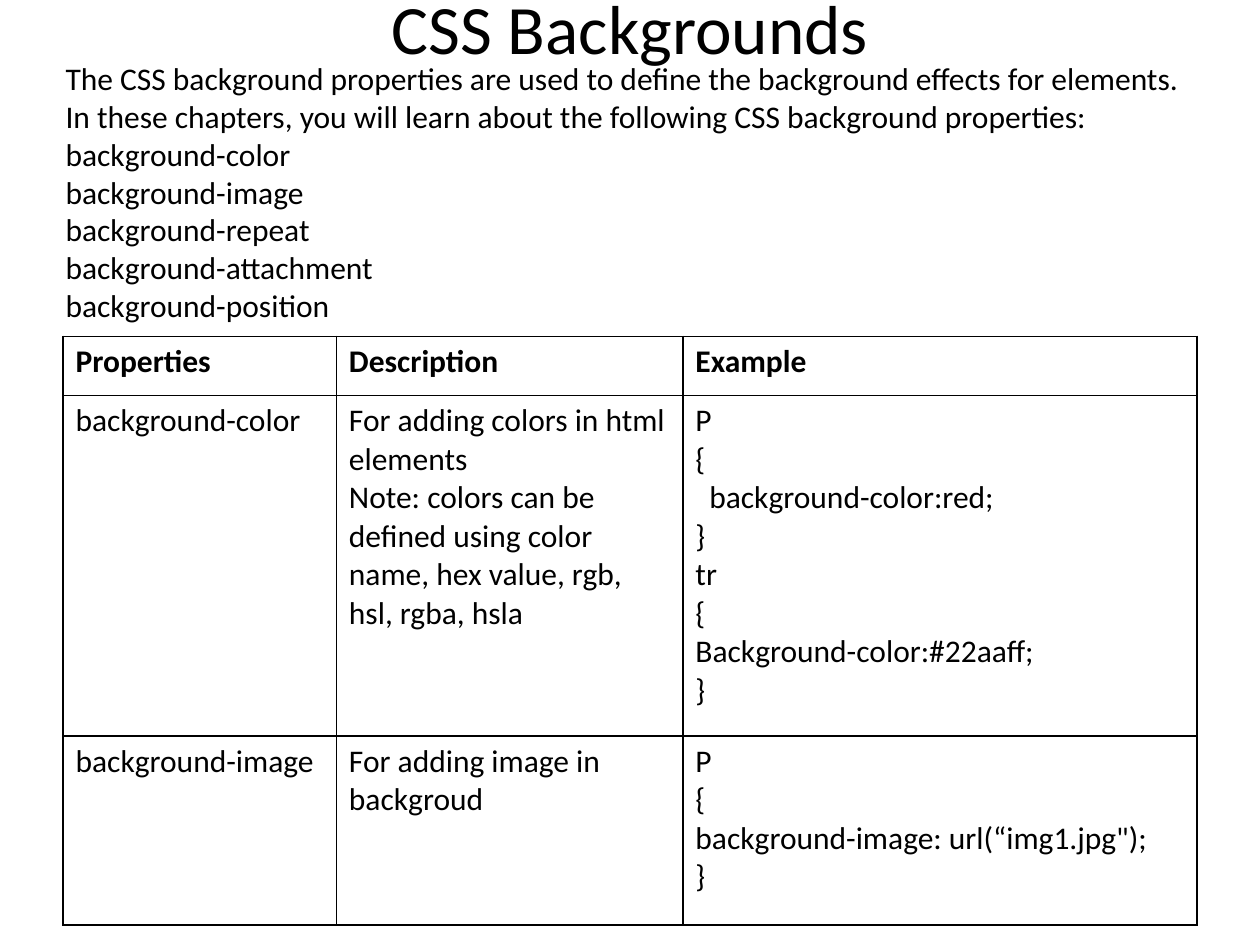
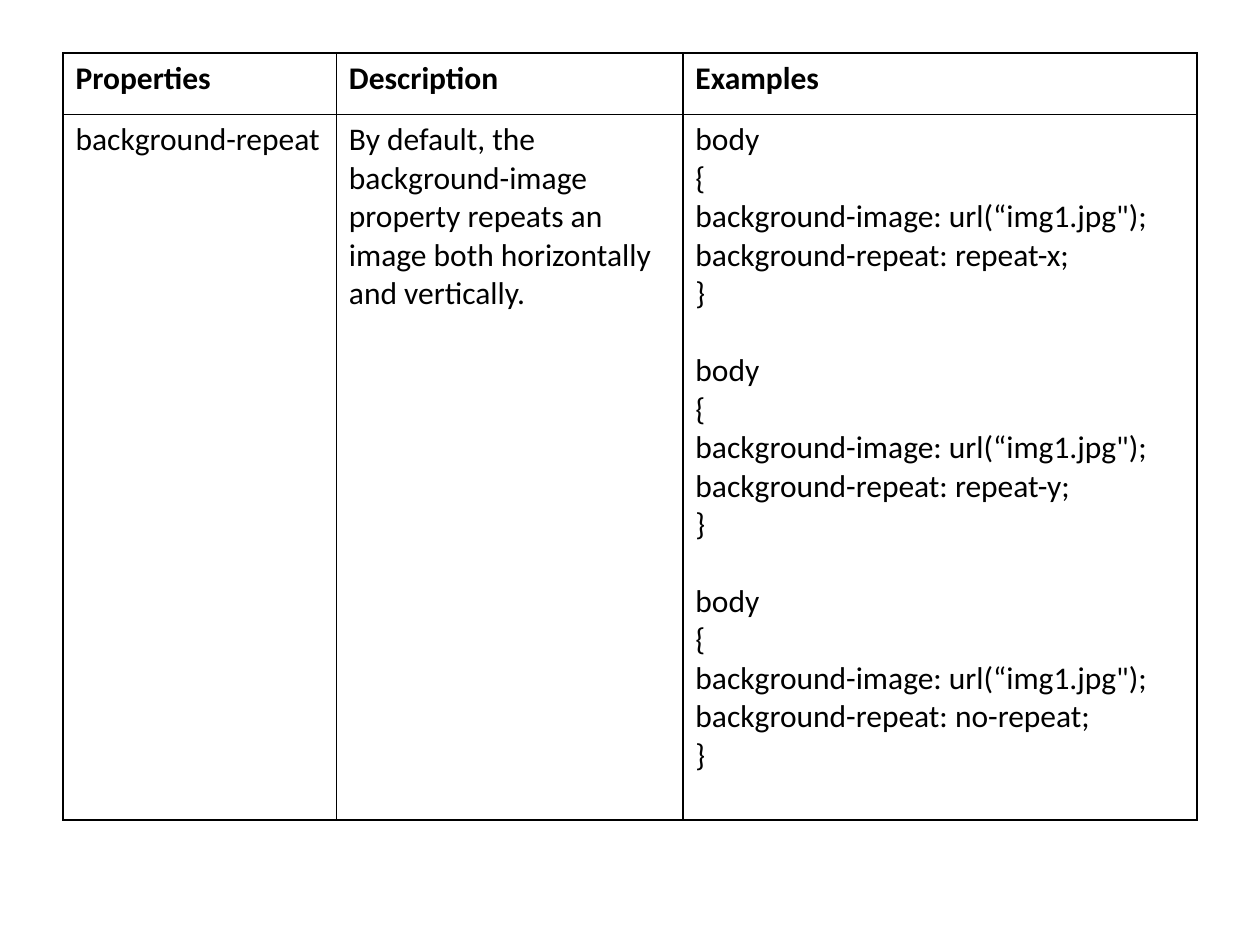
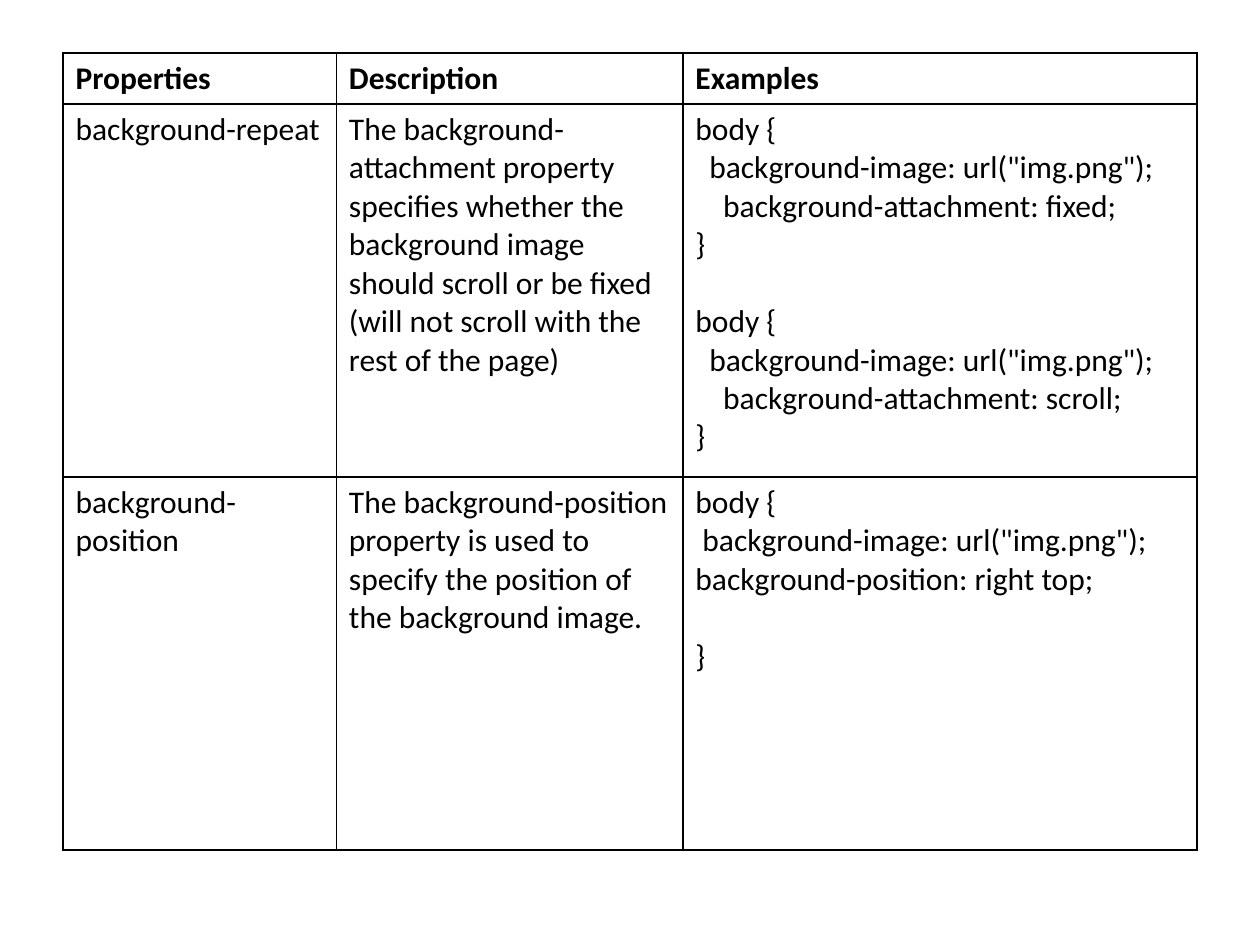
from pptx import Presentation
from pptx.dml.color import RGBColor
from pptx.enum.text import MSO_ANCHOR, MSO_AUTO_SIZE, PP_ALIGN
from pptx.oxml.ns import qn
from pptx.util import Inches, Pt
from lxml.etree import SubElement

INK = RGBColor(0x00, 0x00, 0x00)
PAPER = RGBColor(0xFF, 0xFF, 0xFF)
FONT = "Calibri"
TEXT_SIZE = Pt(18)
BLANK_LINE = Pt(22)
SPACE_WIDTH = Inches(0.11) // 2
COLUMN_WIDTHS = [Inches(2.17), Inches(2.75), Inches(4.08)]
TABLE_LEFT = Inches(0.5)
TABLE_TOP = Inches(0.42)

BACKGROUND_IMAGE = 'background-image: url(“img1.jpg");'


def place(shape, left, top, width, height):
    """Move a placeholder to the given box."""
    shape.left, shape.top, shape.width, shape.height = left, top, width, height


def style_runs(paragraph, size=TEXT_SIZE, bold=False):
    """Apply the shared typeface and colour to a paragraph's runs."""
    for run in paragraph.runs:
        run.font.name = FONT
        run.font.size = size
        run.font.bold = bold
        run.font.color.rgb = INK


def write_lines(frame, lines, bold=False):
    """Write one paragraph a line, turning leading spaces into indents and empty lines into gaps."""
    gap = Pt(0)
    paragraph = None
    for line in lines:
        if not line:
            gap = BLANK_LINE
            continue
        paragraph = frame.add_paragraph() if paragraph is not None else frame.paragraphs[0]
        content = line.lstrip(" ")
        paragraph.text = content
        paragraph.space_before = gap
        properties = paragraph._p.get_or_add_pPr()
        properties.set("marL", str((len(line) - len(content)) * SPACE_WIDTH))
        properties.set("indent", "0")
        SubElement(properties, qn("a:buNone"))
        style_runs(paragraph, bold=bold)
        gap = Pt(0)


def add_title(slide, text, left, top, width, height):
    """Set the slide title against the top edge of its box."""
    title = slide.shapes.title
    place(title, left, top, width, height)
    frame = title.text_frame
    frame.text = text
    frame.auto_size = MSO_AUTO_SIZE.NONE
    frame.vertical_anchor = MSO_ANCHOR.MIDDLE
    frame.margin_top = 0
    frame.margin_bottom = Inches(0.58)
    frame.paragraphs[0].alignment = PP_ALIGN.CENTER
    style_runs(frame.paragraphs[0], Pt(39.6))


def add_introduction(slide, lines, left, top, width, height):
    """Fill the body placeholder with unbulleted lines."""
    body = slide.placeholders[1]
    place(body, left, top, width, height)
    body.text_frame.auto_size = MSO_AUTO_SIZE.NONE
    write_lines(body.text_frame, lines)


def draw_borders(cell):
    """Give a cell a thin line on all four sides."""
    properties = cell._tc.get_or_add_tcPr()
    for side in ("a:lnL", "a:lnR", "a:lnT", "a:lnB"):
        line = SubElement(properties, qn(side), w=str(Pt(1)))
        fill = SubElement(line, qn("a:solidFill"))
        SubElement(fill, qn("a:srgbClr"), val=str(INK))


def add_property_table(slide, rows, row_heights, left, top):
    """Add a bordered table whose first row is a bold header."""
    heights = [Inches(height) for height in row_heights]
    table = slide.shapes.add_table(
        len(rows), len(COLUMN_WIDTHS), left, top, sum(COLUMN_WIDTHS), sum(heights)
    ).table
    table.horz_banding = False
    table.first_row = False
    for column, width in zip(table.columns, COLUMN_WIDTHS):
        column.width = width
    for row_index, (row, height) in enumerate(zip(rows, heights)):
        table.rows[row_index].height = height
        for column_index, content in enumerate(row):
            cell = table.cell(row_index, column_index)
            write_lines(cell.text_frame, content.split("\n"), bold=row_index == 0)
            draw_borders(cell)
            cell.fill.solid()
            cell.fill.fore_color.rgb = PAPER


def repeat_rule(value):
    """Return the CSS rule for one background-repeat value."""
    return f"body\n{{\n{BACKGROUND_IMAGE}\nbackground-repeat: {value};\n}}"


def attachment_rule(value):
    """Return the CSS rule for one background-attachment value."""
    return (
        'body {\n  background-image: url("img.png");\n'
        f"    background-attachment: {value};\n}}"
    )


def build_overview(deck):
    """Build the slide that introduces the background properties."""
    slide = deck.slides.add_slide(deck.slide_layouts[1])
    add_title(slide, "CSS\u00a0Backgrounds", TABLE_LEFT, 0, Inches(9), Inches(1))
    add_introduction(slide, [
        "The CSS background properties are used to define the background effects for elements.",
        "In these chapters, you will learn about the following CSS background properties:",
        "background-color",
        "background-image",
        "background-repeat",
        "background-attachment",
        "background-position",
    ], Inches(0.42), Inches(0.42), Inches(9.25), Inches(2.22))
    add_property_table(slide, [
        ("Properties", "Description", "Example"),
        ("background-color",
         "For adding colors in html elements\n"
         "Note: colors can be defined using color name, hex value, rgb, hsl, rgba, hsla",
         "P\n{\n  background-color:red;\n}\ntr\n{\nBackground-color:#22aaff;\n}"),
        ("background-image",
         "For adding image in backgroud",
         f"P\n{{\n{BACKGROUND_IMAGE}\n}}"),
    ], [0.47, 2.7, 1.5], TABLE_LEFT, Inches(2.67))


def build_table_slide(deck, rows, row_heights):
    """Build a slide that holds only a property table."""
    slide = deck.slides.add_slide(deck.slide_layouts[6])
    header = ("Properties", "Description", "Examples")
    add_property_table(slide, [header, *rows], row_heights, TABLE_LEFT, TABLE_TOP)


def main():
    """Build and save the deck."""
    deck = Presentation()
    deck.slide_width = Inches(10)
    deck.slide_height = Inches(7.5)
    build_overview(deck)
    build_table_slide(deck, [
        ("background-repeat",
         "By default, the background-image property repeats an image "
         "both horizontally and vertically.",
         "\n\n".join(map(repeat_rule, ("repeat-x", "repeat-y", "no-repeat")))),
    ], [0.49, 5.6])
    build_table_slide(deck, [
        ("background-repeat",
         "The background-attachment property specifies whether the background image "
         "should scroll or be fixed (will not scroll with the rest of the page)",
         "\n\n".join(map(attachment_rule, ("fixed", "scroll")))),
        ("background-position",
         "The background-position property is used to specify the position "
         "of the background image.",
         'body {\n background-image: url("img.png");\n'
         "background-position: right top;\n\n}"),
    ], [0.4, 2.96, 2.96])
    deck.save("out.pptx")


main()
